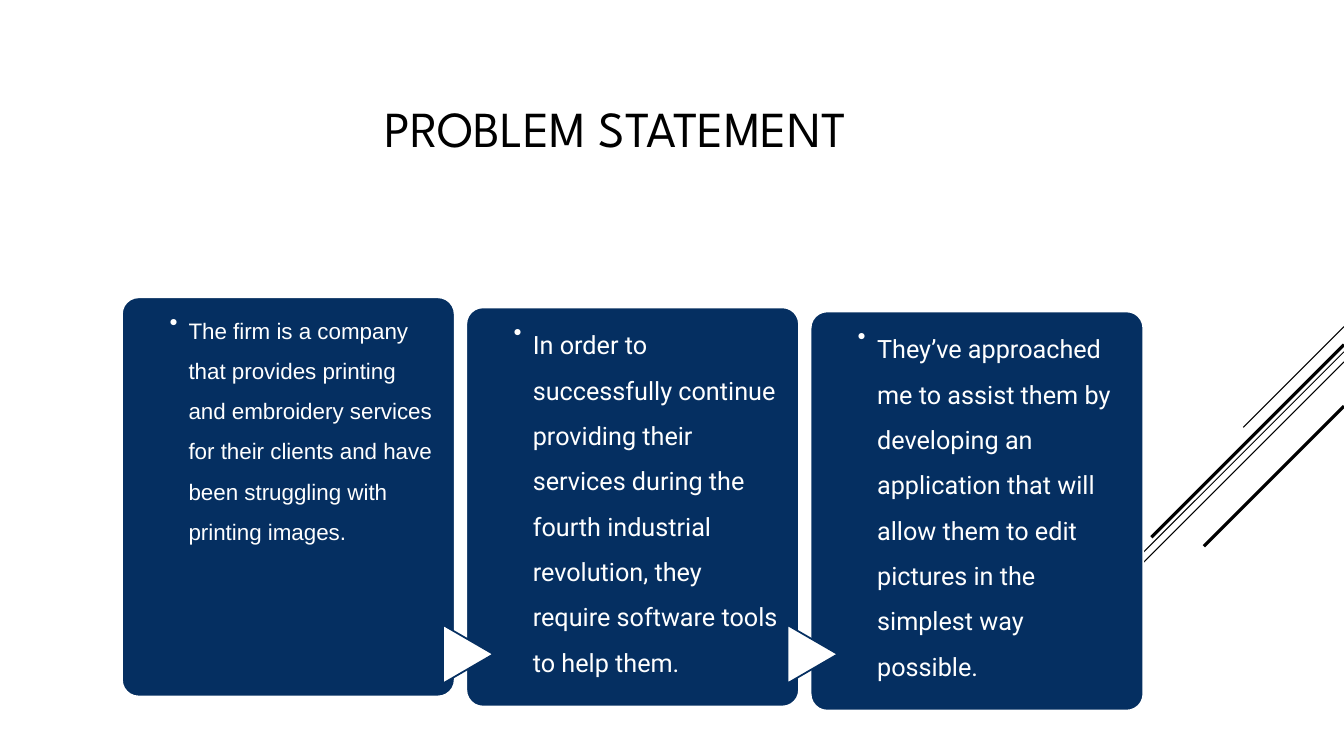
from dataclasses import dataclass
from lxml import etree
from pptx import Presentation
from pptx import util as u
from pptx.dml.color import RGBColor
from pptx.enum import shapes, text
from pptx.oxml.ns import qn


@dataclass(frozen=True)
class Theme:
    ink: RGBColor = RGBColor(0, 0, 0)
    paper: RGBColor = RGBColor(255, 255, 255)
    navy: RGBColor = RGBColor(0x05, 0x2F, 0x61)
    heading: str = "League Spartan"
    title_size: float = 36
    dot_size: float = 34
    outline: float = 1.25


THEME = Theme()
SLIDE_W, SLIDE_H = 13.33, 7.5
CARDS_LEFT, CARDS_RIGHT = 1.21, 11.34
CARD_W, CARD_H = 3.3, 3.96
STRIP_W, STRIP_H = 0.66, 3.25
TEXT_W = 2.46
ARROW_W, ARROW_H = 0.5, 0.58

CARDS = [
    (2.95, 0.06, "Arial", 16,
     "The firm is a company that provides printing and embroidery services "
     "for their clients and have been struggling with printing images."),
    (3.05, 0.07, "Roboto", 18,
     "In order to successfully continue providing their services during the "
     "fourth industrial revolution, they require software tools to help them."),
    (3.09, 0.07, "Roboto", 18,
     "They’ve approached me to assist them by developing an application that "
     "will allow them to edit pictures in the simplest way possible."),
]

STRIPES = [
    (3.24, 1.0, 0.75),
    (3.49, 3.26, 0.75),
    (3.59, 2.07, 0.75),
    (3.42, 1.91, 2.25),
    (4.03, 1.39, 2.25),
]


def inches(*values):
    return [u.Inches(v) for v in values]


def turned_box(left, top, width, height):
    shift = (width - height) / 2
    return inches(left + shift, top - shift, height, width)


def style_run(p, font, size, color):
    r = p.runs[0]
    r.font.name = font
    r.font.size = u.Pt(size)
    r.font.color.rgb = color


def add_text(slide, box, words, font, size, insets, spacing, align):
    sp = slide.shapes.add_textbox(*box)
    tf = sp.text_frame
    tf.word_wrap = True
    tf.vertical_anchor = text.MSO_ANCHOR.TOP
    tf.margin_left, tf.margin_top, tf.margin_right, tf.margin_bottom = inches(*insets)
    tf.text = words
    p = tf.paragraphs[0]
    p.alignment = align
    p.line_spacing = spacing
    style_run(p, font, size, THEME.paper)
    return sp


def add_block(slide, preset, box, fill, line):
    sp = slide.shapes.add_shape(preset, *box)
    sp.shadow.inherit = False
    sp.fill.solid()
    sp.fill.fore_color.rgb = fill
    sp.line.color.rgb = line
    sp.line.width = u.Pt(THEME.outline)
    return sp


def add_stripes(slide, right):
    for top, run, weight in STRIPES:
        line = slide.shapes.add_connector(
            shapes.MSO_CONNECTOR.STRAIGHT, *inches(right, top, right - run, top + run))
        line.line.color.rgb = THEME.ink
        line.line.width = u.Pt(weight)
        etree.SubElement(line._element.spPr, qn("a:effectLst"))


def add_title(slide, box, words):
    sp = slide.shapes.title
    sp.left, sp.top, sp.width, sp.height = inches(*box)
    tf = sp.text_frame
    tf.text = words
    tf.vertical_anchor = text.MSO_ANCHOR.MIDDLE
    p = tf.paragraphs[0]
    p.alignment = text.PP_ALIGN.CENTER
    style_run(p, THEME.heading, THEME.title_size, THEME.ink)


def add_card(slide, left, top, inset, font, size, words, has_arrow):
    card = add_block(slide, shapes.MSO_SHAPE.ROUNDED_RECTANGLE,
                     inches(left, top, CARD_W, CARD_H), THEME.navy, THEME.paper)
    card.adjustments[0] = 0.05
    dot = add_text(slide, turned_box(left, top, STRIP_W, STRIP_H), ".",
                   THEME.heading, THEME.dot_size, (0, 0.13, 0.17, 0), 0.9,
                   text.PP_ALIGN.RIGHT)
    dot.rotation = 270
    if has_arrow:
        arrow = add_block(slide, shapes.MSO_SHAPE.FLOWCHART_EXTRACT,
                          turned_box(left - 0.23, 6.2, ARROW_W, ARROW_H),
                          THEME.paper, THEME.navy)
        arrow.rotation = 90
    add_text(slide, inches(left + STRIP_W, top, TEXT_W, CARD_H), words, font, size,
             (0, inset, 0, 0), 1.5, text.PP_ALIGN.LEFT)


def add_cards(slide, left, right):
    pitch = (right - left - CARD_W) / (len(CARDS) - 1)
    for i, card in enumerate(CARDS):
        add_card(slide, left + i * pitch, *card, has_arrow=i > 0)


def main():
    prs = Presentation()
    prs.slide_width, prs.slide_height = inches(SLIDE_W, SLIDE_H)
    slide = prs.slides.add_slide(prs.slide_layouts.get_by_name("Title Only"))
    slide.background.fill.solid()
    slide.background.fill.fore_color.rgb = THEME.paper
    add_stripes(slide, SLIDE_W)
    add_title(slide, (CARDS_LEFT, 0.5, 9.79, 1.53), "PROBLEM STATEMENT")
    add_cards(slide, CARDS_LEFT, CARDS_RIGHT)
    prs.save("out.pptx")


if __name__ == "__main__":
    main()
